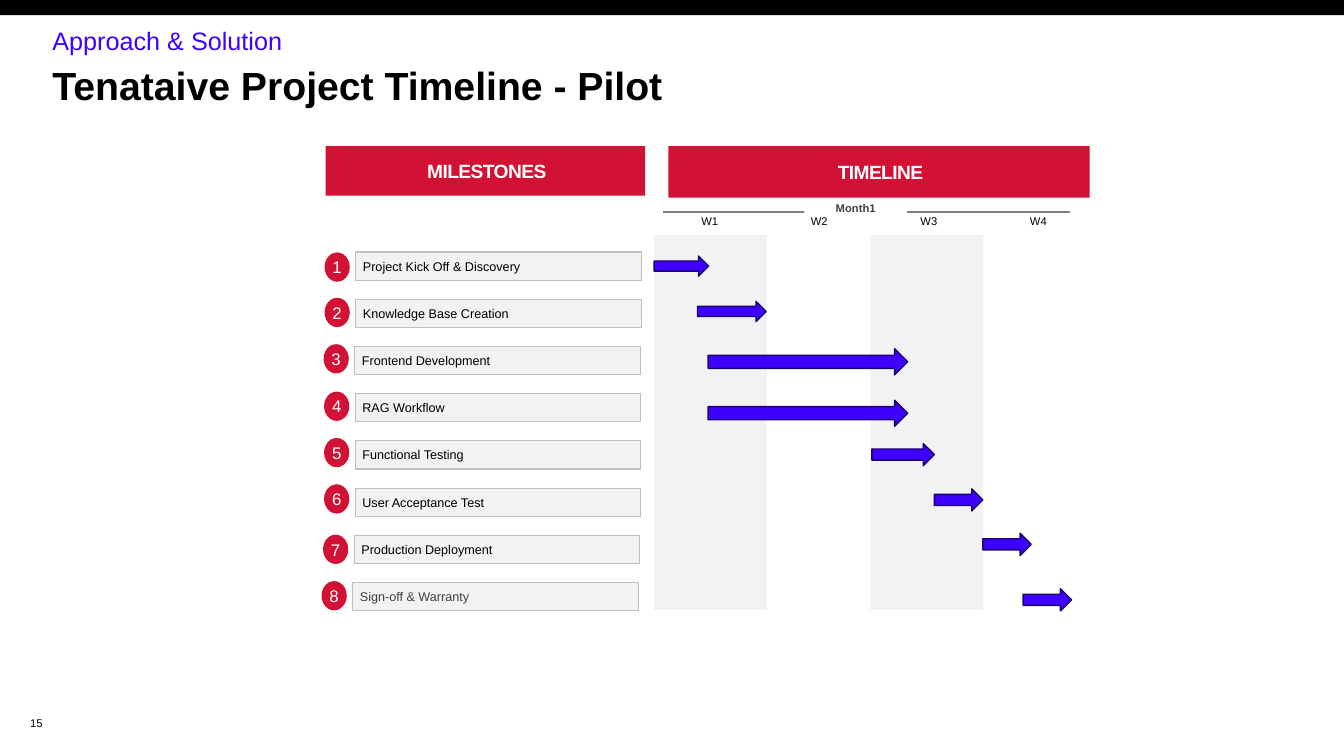
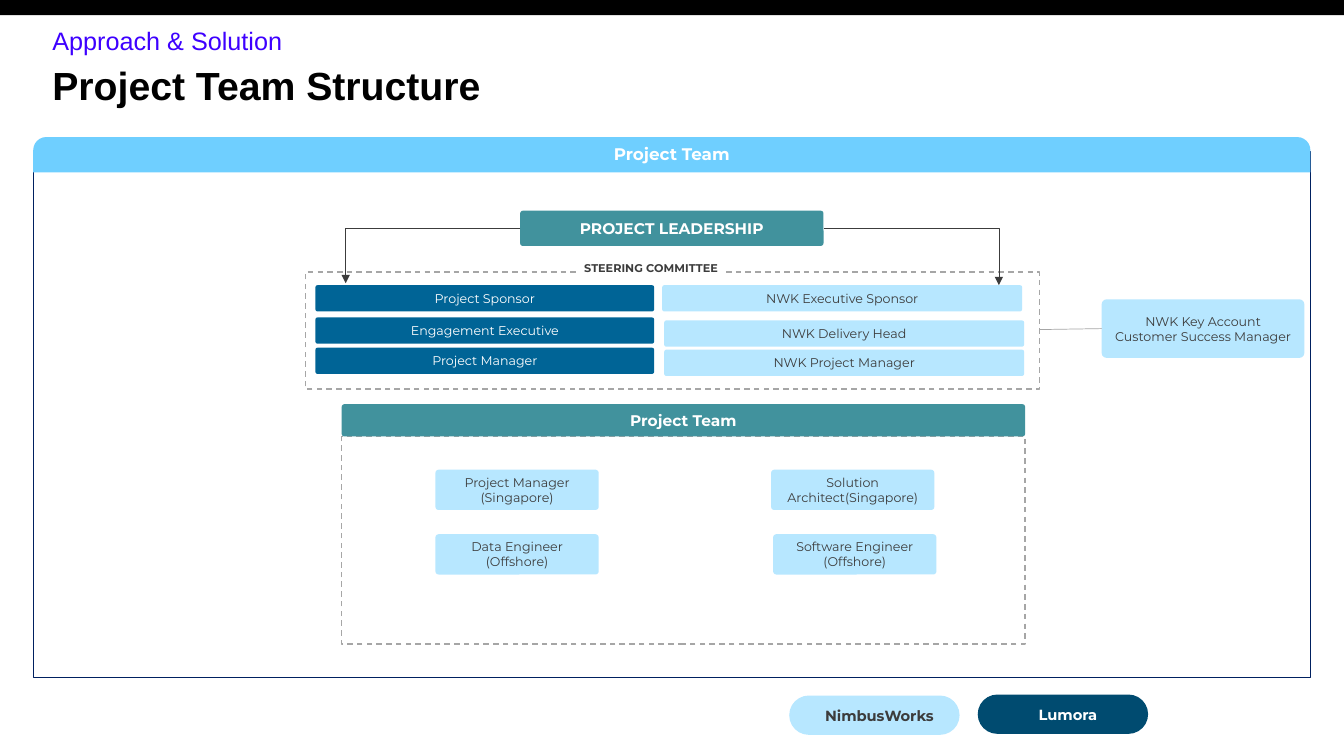
from dataclasses import dataclass

from lxml.etree import SubElement
from pptx import Presentation
from pptx.dml.color import RGBColor as Rgb
from pptx.enum.dml import MSO_LINE_DASH_STYLE as Dash
from pptx.enum.shapes import MSO_CONNECTOR as Link
from pptx.enum.shapes import MSO_SHAPE as Form
from pptx.enum.text import MSO_ANCHOR as Anchor
from pptx.enum.text import PP_ALIGN as Align
from pptx.oxml.ns import qn
from pptx.util import Inches, Pt

COLUMNS, ROWS = 80, 45


@dataclass(frozen=True)
class Theme:
    body_font: str = "Arial"
    chart_font: str = "Montserrat"
    black: str = "000000"
    white: str = "FFFFFF"
    violet: str = "3E00FF"
    violet_edge: str = "1B0070"
    red: str = "D11234"
    red_edge: str = "D21034"
    pale: str = "F2F2F2"
    pale_edge: str = "BFBFBF"
    rule: str = "808080"
    dashes: str = "A6A6A6"
    grey_text: str = "404040"
    ink: str = "3C3C3C"
    navy: str = "002060"
    sky: str = "6FCFFF"
    ice: str = "B7E7FF"
    teal: str = "41929D"
    blue: str = "006496"
    deep_blue: str = "004B70"
    title: float = 28
    kicker: float = 18
    header: float = 13.7
    badge: float = 12
    group: float = 11
    legend: float = 10.5
    label: float = 9
    small: float = 8


class Deck:
    def __init__(self, theme):
        self.theme = theme
        self.file = Presentation()
        self.file.slide_width = Inches(13.33)
        self.file.slide_height = Inches(7.5)
        self.slide = None

    def x(self, columns):
        return round(self.file.slide_width * columns / COLUMNS)

    def y(self, rows):
        return round(self.file.slide_height * rows / ROWS)

    def place(self, area):
        left, top, width, height = area
        return self.x(left), self.y(top), self.x(width), self.y(height)

    def new_slide(self, title):
        t = self.theme
        self.slide = self.file.slides.add_slide(self.file.slide_layouts[6])
        self.shape(Form.RECTANGLE, (0, 0, COLUMNS, 0.9), t.black)
        self.text((3.12, 3.96, 73.68, 2.76), title, t.title, t.black, bold=True, spacing=0.9)
        self.text((3.12, 1.5, 73.68, 1.98), "Approach & Solution", t.kicker, t.violet)

    def shape(self, form, area, fill=None, edge=None, width=0.75, dash=None, adjust=()):
        item = self.slide.shapes.add_shape(form, *self.place(area))
        item.shadow.inherit = False
        if fill:
            item.fill.solid()
            item.fill.fore_color.rgb = Rgb.from_string(fill)
        else:
            item.fill.background()
        self.stroke(item.line, edge, width, dash)
        for index, value in enumerate(adjust):
            item.adjustments[index] = value
        return item

    def stroke(self, line, color, width, dash=None):
        if not color:
            line.fill.background()
            return
        line.color.rgb = Rgb.from_string(color)
        line.width = Pt(width)
        if dash:
            line.dash_style = dash

    def set_words(self, item, words, size, color, font=None, bold=False, align=Align.CENTER,
                  anchor=Anchor.MIDDLE, inset=(0, 0, 0, 0), tracking=None, spacing=None):
        frame = item.text_frame
        frame.word_wrap = True
        frame.vertical_anchor = anchor
        frame.margin_left, frame.margin_right = self.x(inset[0]), self.x(inset[2])
        frame.margin_top, frame.margin_bottom = self.y(inset[1]), self.y(inset[3])
        frame.text = words
        for paragraph in frame.paragraphs:
            paragraph.alignment = align
            if spacing:
                paragraph.line_spacing = spacing
            paragraph.font.name = font or self.theme.body_font
            paragraph.font.size = Pt(size)
            paragraph.font.bold = bold
            paragraph.font.color.rgb = Rgb.from_string(color)
        if tracking:
            for properties in item.element.iter(qn("a:defRPr")):
                properties.set("spc", str(tracking))

    def text(self, area, words, size, color, align=Align.LEFT, anchor=Anchor.TOP, **style):
        box = self.slide.shapes.add_textbox(*self.place(area))
        self.set_words(box, words, size, color, align=align, anchor=anchor, **style)

    def line(self, start, end, color, width, elbow=False):
        link = self.slide.shapes.add_connector(
            Link.ELBOW if elbow else Link.STRAIGHT,
            self.x(start[0]), self.y(start[1]), self.x(end[0]), self.y(end[1]))
        self.stroke(link.line, color, width)
        properties = link.element.spPr
        SubElement(properties, qn("a:effectLst"))
        if elbow:
            guides = properties.find(qn("a:prstGeom")).find(qn("a:avLst"))
            SubElement(guides, qn("a:gd"), name="adj1", fmla="val 100000")
            SubElement(properties.find(qn("a:ln")), qn("a:tailEnd"), type="triangle")

    def header(self, area, words):
        t = self.theme
        bar = self.shape(Form.RECTANGLE, area, t.red)
        self.set_words(bar, words, t.header, t.white, bold=True, inset=(0.42, 0, 0.24, 0),
                       tracking=-40)

    def milestone(self, number, name, left, top, badge_top, color):
        t = self.theme
        bar = self.shape(Form.RECTANGLE, (left, top, 17, 1.68), t.pale, t.pale_edge)
        self.set_words(bar, name, t.label, color, align=Align.LEFT, inset=(0.42, 0, 0.24, 0))
        badge = self.shape(Form.OVAL, (left - 1.83, badge_top, 1.44, 1.68), t.red, t.red_edge)
        self.set_words(badge, str(number), t.badge, t.white, tracking=-50)

    def duration(self, area):
        self.shape(Form.RIGHT_ARROW, area, self.theme.violet, self.theme.violet_edge, 1)

    def caption(self, area, words, color, font):
        plate = self.shape(Form.RECTANGLE, area, self.theme.white)
        self.set_words(plate, words, self.theme.small, color, font, bold=True, anchor=Anchor.TOP)

    def card(self, area, words, fill, color, size=None, bold=False, form=Form.ROUNDED_RECTANGLE,
             adjust=(0.08,), inset=(0.6, 0.3, 0.6, 0.3)):
        item = self.shape(form, area, fill, adjust=adjust)
        self.set_words(item, words, size or self.theme.label, color, self.theme.chart_font, bold,
                       inset=inset)

    def dashed_frame(self, area):
        self.shape(Form.RECTANGLE, area, edge=self.theme.dashes, width=1, dash=Dash.DASH)


MILESTONES = [
    ("Project Kick Off & Discovery", 21.18, 15.06, (38.94, 15.24, 3.24, 1.2)),
    ("Knowledge Base Creation", 21.18, 17.76, (41.52, 17.94, 4.08, 1.2)),
    ("Frontend Development", 21.12, 20.52, (42.15, 20.76, 11.88, 1.56)),
    ("RAG Workflow", 21.15, 23.34, (42.15, 23.82, 11.88, 1.56)),
    ("Functional Testing", 21.15, 26.1, (51.9, 26.4, 3.72, 1.32)),
    ("User Acceptance Test", 21.15, 28.86, (55.62, 29.1, 2.88, 1.32)),
    ("Production Deployment", 21.09, 31.86, (58.5, 31.74, 2.88, 1.32)),
    ("Sign-off & Warranty", 21, 34.62, (60.9, 35.04, 2.88, 1.32)),
]

CLIENT_SPONSORS = [
    ("Project Sponsor", 16.98),
    ("Engagement Executive", 18.9),
    ("Project Manager", 20.7),
]

VENDOR_SPONSORS = [
    ("NWK Executive Sponsor", 39.42, 16.98),
    ("NWK Delivery Head", 39.54, 19.08),
    ("NWK Project Manager", 39.54, 20.82),
]

ROLES = [
    ("Project Manager (Singapore)", 25.92, 27.96),
    ("Solution Architect(Singapore)", 45.9, 27.96),
    ("Data Engineer\n(Offshore)", 25.92, 31.8),
    ("Software Engineer\n(Offshore)", 46.02, 31.8),
]


def timeline_slide(deck):
    t = deck.theme
    deck.new_slide("Tenataive Project Timeline - Pilot")
    deck.text((1.8, 42.48, 1.14, 1.14), "15", t.small, t.black, anchor=Anchor.MIDDLE)
    deck.header((19.38, 8.7, 19.02, 2.94), "MILESTONES")
    deck.header((39.78, 8.7, 25.08, 3.06), "TIMELINE")
    for left in (38.94, 51.81):
        deck.shape(Form.RECTANGLE, (left, 14, 6.72, 22.3), t.pale)
    deck.line((39.48, 12.6), (63.72, 12.6), t.rule, 1.25)
    deck.caption((47.88, 12, 6.12, 1.02), "Month1", t.grey_text, t.body_font)
    for week in range(4):
        deck.text((39.91 + 6.52 * week, 12.78, 4.68, 0.9), f"W{week + 1}", t.small, t.black,
                  align=Align.CENTER)
    for index, (name, left, badge_top, arrow) in enumerate(MILESTONES):
        color = t.grey_text if index == len(MILESTONES) - 1 else t.black
        deck.milestone(index + 1, name, left, 15 + 2.81 * index, badge_top, color)
        deck.duration(arrow)


def team_slide(deck):
    t = deck.theme
    deck.new_slide("Project Team Structure")
    deck.shape(Form.RECTANGLE, (1.98, 9, 76.02, 31.32), edge=t.navy, width=0.5)
    deck.card((1.98, 8.16, 76.02, 2.1), "Project Team", t.sky, t.white, t.badge, True,
              Form.ROUND_2_SAME_RECTANGLE, (0.37, 0), (0.6, 0, 0.6, 0.3))
    for name, left, top, fill, color in (
            ("NimbusWorks", 46.98, 41.4, t.ice, t.ink),
            ("Lumora", 58.2, 41.34, t.deep_blue, t.white)):
        deck.card((left, top, 10.14, 2.34), name, fill, color, t.legend, True,
                  adjust=(0.5,), inset=(1.2, 0.3, 0.6, 0.3))

    deck.dashed_frame((18.18, 16.2, 43.68, 6.96))
    deck.caption((34.44, 15.54, 8.64, 0.84), "STEERING COMMITTEE", t.ink, t.chart_font)
    deck.card((30.96, 12.54, 18.06, 2.1), "PROJECT LEADERSHIP", t.teal, t.white, t.group, True)
    for name, top in CLIENT_SPONSORS:
        deck.card((18.78, top, 20.16, 1.56), name, t.blue, t.white)
    for name, left, top in VENDOR_SPONSORS:
        deck.card((left, top, 21.42, 1.56), name, t.ice, t.ink)
    deck.line((30.96, 13.62), (20.58, 16.86), t.ink, 0.5, elbow=True)
    deck.line((49.02, 13.62), (59.46, 16.98), t.ink, 0.5, elbow=True)
    deck.card((65.58, 17.82, 12.06, 3.48), "NWK Key Account Customer Success Manager", t.ice, t.ink)
    deck.line((61.86, 19.62), (65.58, 19.56), t.dashes, 0.5)

    deck.dashed_frame((20.34, 25.98, 40.68, 12.36))
    deck.card((20.34, 24.06, 40.68, 1.92), "Project Team", t.teal, t.white, t.group, True)
    for role, left, top in ROLES:
        deck.card((left, top, 9.72, 2.4), role, t.ice, t.ink, inset=(0, 0, 0, 0))


def main():
    deck = Deck(Theme())
    timeline_slide(deck)
    team_slide(deck)
    deck.file.save("out.pptx")


if __name__ == "__main__":
    main()
